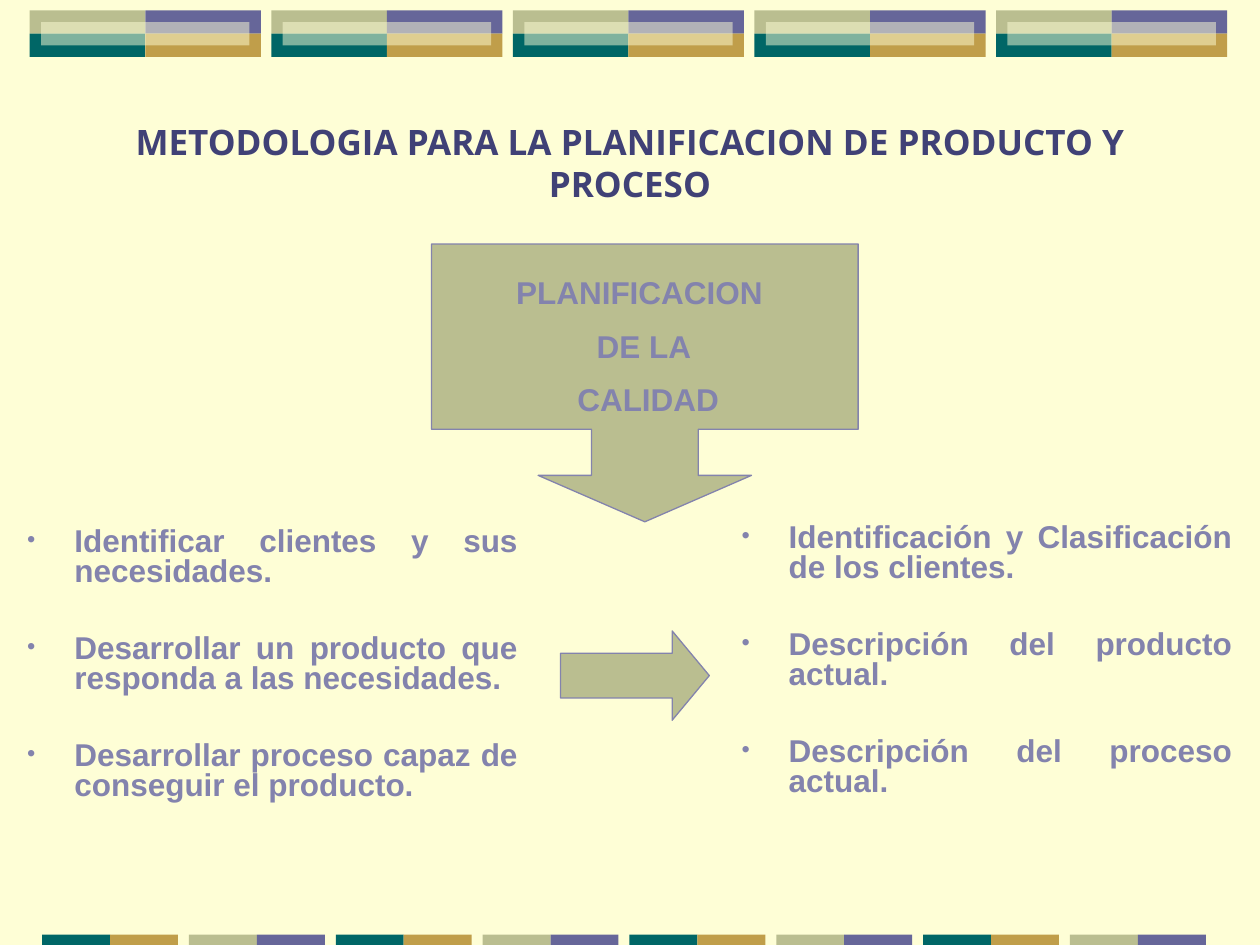
import pptx
import pptx.util
import pptx.dml.color
import pptx.enum.shapes
import pptx.enum.text
import pptx.oxml
import pptx.oxml.ns
from lxml import etree

Cm = pptx.util.Cm
Pt = pptx.util.Pt
RGBColor = pptx.dml.color.RGBColor
SHAPE = pptx.enum.shapes.MSO_SHAPE
ALIGN = pptx.enum.text.PP_ALIGN
ANCHOR = pptx.enum.text.MSO_ANCHOR
qn = pptx.oxml.ns.qn

CREAM = RGBColor(0xFE, 0xFE, 0xD6)
OLIVE = RGBColor(0xBA, 0xBE, 0x90)
PURPLE = RGBColor(0x66, 0x66, 0x99)
TEAL = RGBColor(0x00, 0x66, 0x66)
GOLD = RGBColor(0xC0, 0x9E, 0x4A)
NAVY = RGBColor(0x40, 0x41, 0x76)
LILAC = RGBColor(0x83, 0x83, 0xAD)

STEPS = [
    "Identificar clientes y sus necesidades.",
    "Desarrollar un producto que responda a las necesidades.",
    "Desarrollar proceso capaz de conseguir el producto.",
]
RESULTS = [
    "Identificación y Clasificación de los clientes.",
    "Descripción del producto actual.",
    "Descripción del proceso actual.",
]


def add_block(page, kind, left, top, width, height, fill, line=None):
    block = page.shapes.add_shape(kind, Cm(left), Cm(top), Cm(width), Cm(height))
    block.shadow.inherit = False
    block.fill.solid()
    block.fill.fore_color.rgb = fill
    if line is None:
        block.line.fill.background()
    else:
        block.line.color.rgb = line
        block.line.width = Pt(0.75)
    return block


def add_text(page, left, top, width, height, lines, font, size, color, align):
    box = page.shapes.add_textbox(Cm(left), Cm(top), Cm(width), Cm(height))
    frame = box.text_frame
    frame.word_wrap = True
    frame.text = "\n".join(lines)
    for para in frame.paragraphs:
        para.alignment = align
        para.font.name = font
        para.font.size = Pt(size)
        para.font.bold = True
        para.font.color.rgb = color
    return frame


def add_bullet(para):
    properties = para._p.get_or_add_pPr()
    properties.set("marL", str(Cm(0.95)))
    properties.set("indent", str(-Cm(0.95)))
    color = etree.SubElement(properties, qn("a:buClr"))
    etree.SubElement(color, qn("a:srgbClr")).set("val", str(LILAC))
    etree.SubElement(properties, qn("a:buSzPct")).set("val", "75000")
    etree.SubElement(properties, qn("a:buFont")).set("typeface", "Arial")
    etree.SubElement(properties, qn("a:buChar")).set("char", "•")


def add_top_band(page, left, top):
    width, height, pitch = 2.33, 0.47, 4.87
    quarters = [[OLIVE, PURPLE], [TEAL, GOLD]]
    for index in range(5):
        start = left + index * pitch
        for row, colors in enumerate(quarters):
            for column, color in enumerate(colors):
                add_block(page, SHAPE.RECTANGLE, start + column * width,
                          top + row * height, width, height, color)
        veil = add_block(page, SHAPE.RECTANGLE, start + 0.23, top + height / 2,
                         2 * width - 0.46, height, CREAM)
        shade = veil.fill._xPr.find(".//" + qn("a:srgbClr"))
        etree.SubElement(shade, qn("a:alpha")).set("val", "50000")


def add_bottom_band(page, left, top):
    width, height, pitch = 1.37, 0.21, 2.96
    pairs = [(TEAL, GOLD), (OLIVE, PURPLE)]
    for index in range(8):
        for column, color in enumerate(pairs[index % 2]):
            add_block(page, SHAPE.RECTANGLE, left + index * pitch + column * width,
                      top, width, height, color)


def add_title(page, left, top, width, height):
    frame = add_text(page, left, top, width, height,
                     ["METODOLOGIA PARA LA PLANIFICACION DE PRODUCTO Y PROCESO"],
                     "Open Sans", 20, NAVY, ALIGN.CENTER)
    frame.vertical_anchor = ANCHOR.MIDDLE


def add_callout(page, left, top, width, height):
    callout = add_block(page, SHAPE.DOWN_ARROW_CALLOUT, left, top, width, height,
                        OLIVE, LILAC)
    for index, value in enumerate([0.384, 0.384, 0.167, 0.667]):
        callout.adjustments[index] = value
    frame = add_text(page, left + 0.18, top + 0.6, width - 0.4, 3.05,
                     ["PLANIFICACION ", "DE LA", " CALIDAD"],
                     "Arial", 18, LILAC, ALIGN.CENTER)
    for para in frame.paragraphs:
        para.line_spacing = 0.8
        para.space_before = Pt(13.5)


def add_arrow(page, left, top, width, height):
    arrow = add_block(page, SHAPE.RIGHT_ARROW, left, top, width, height, OLIVE, LILAC)
    arrow.adjustments[1] = 0.416


def add_list(page, left, top, width, height, items):
    frame = add_text(page, left, top, width, height, items,
                     "Arial", 18, LILAC, ALIGN.JUSTIFY)
    for index, para in enumerate(frame.paragraphs):
        para.line_spacing = 0.8
        para.space_before = Pt(26.5 if index else 4.5)
        add_bullet(para)


def main():
    deck = pptx.Presentation()
    deck.slide_width, deck.slide_height = Cm(25.4), Cm(19.05)
    page = deck.slides.add_slide(deck.slide_layouts[6])
    page.background.fill.solid()
    page.background.fill.fore_color.rgb = CREAM
    add_top_band(page, 0.6, 0.21)
    add_bottom_band(page, 0.85, 18.84)
    add_title(page, 1.9, 1.7, 21.6, 3.17)
    add_list(page, 0.3, 10.52, 10.39, 7.29, STEPS)
    add_callout(page, 8.7, 4.92, 8.6, 5.6)
    add_arrow(page, 11.3, 12.72, 3, 1.8)
    add_list(page, 14.7, 10.44, 10.39, 7.29, RESULTS)
    deck.save("out.pptx")


if __name__ == "__main__":
    main()
